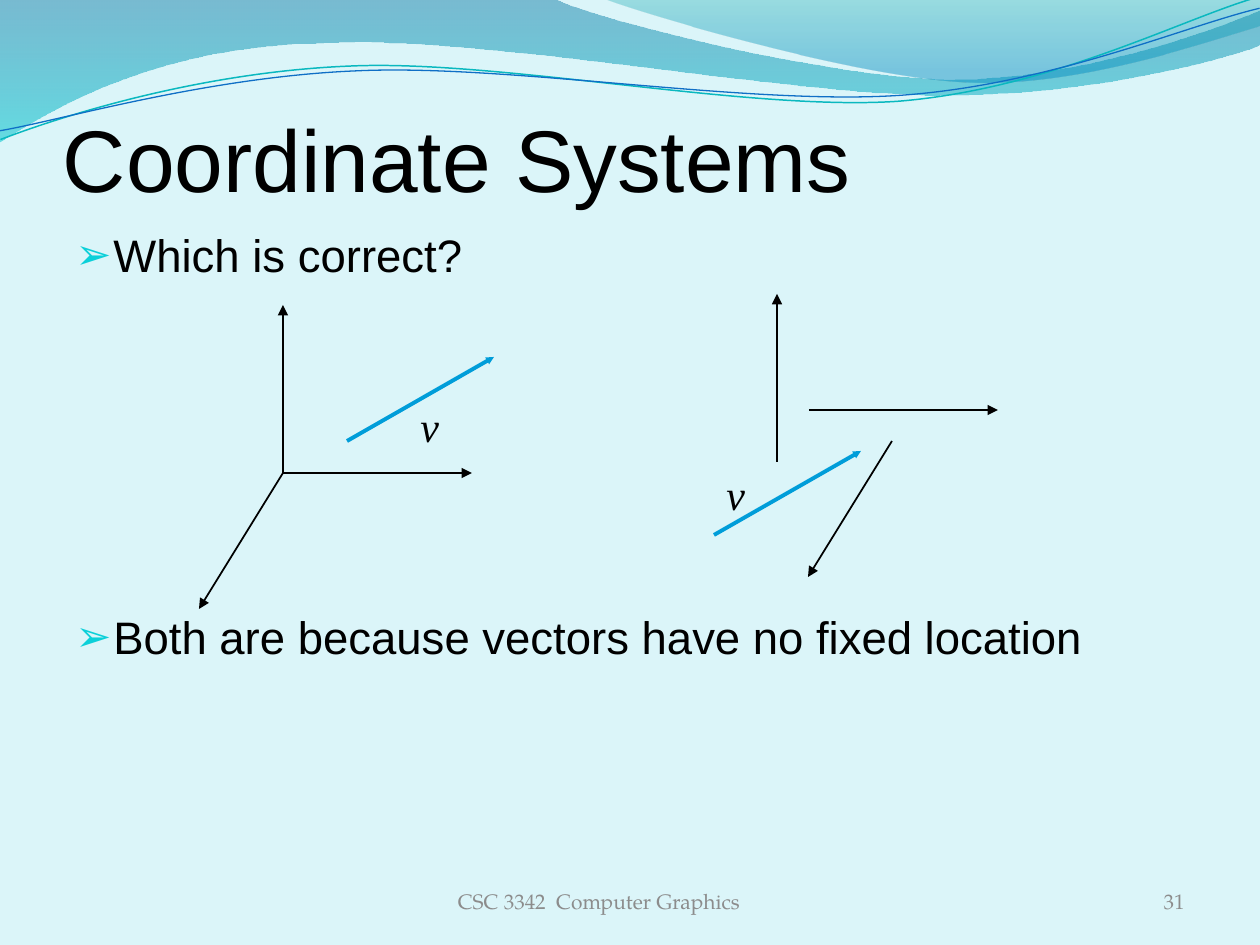
from lxml.etree import SubElement
from pptx import Presentation
from pptx.dml.color import RGBColor
from pptx.enum.shapes import MSO_CONNECTOR
from pptx.enum.text import MSO_ANCHOR, PP_ALIGN
from pptx.oxml.ns import qn
from pptx.util import Pt

EMU_PER_PX = 914400 / 126
WIDTH, HEIGHT = 1260, 945
WAVE_TILT = -2.7
COLORS = {
    "background": "DBF5F9", "text": "000000", "footer": "8C8C8C",
    "bullet": "0BD0D9", "axis": "000000", "vector": "009DD9",
    "teal_line": "0AB8BF", "blue_line": "0F6FC6",
    "band_top": "0074A1", "band_bottom": "00C6CF",
    "crest_top": "00A1A9", "crest_bottom": "008BBF",
}


def px(value):
    return round(value * EMU_PER_PX)


def color(name):
    return RGBColor.from_string(COLORS[name])


def add_wave(slide, start, segments, closed):
    """Each segment holds a line's end point, or a Bezier curve's two handles and end."""
    points = [(px(x), px(y)) for segment in segments
              for x, y in zip(segment[::2], segment[1::2])]
    builder = slide.shapes.build_freeform(px(start[0]), px(start[1]), scale=1.0)
    builder.add_line_segments(points, close=closed)
    shape = builder.convert_to_shape()
    shape.shadow.inherit = False
    # Turn each group of three steps into one curve
    steps = iter(list(shape._element.iter(qn("a:lnTo"))))
    for segment in segments:
        step = next(steps)
        if len(segment) == 6:
            step.tag = qn("a:cubicBezTo")
            for _ in range(2):
                following = next(steps)
                step.append(following[0])
                following.getparent().remove(following)
    return shape


def add_filled_wave(slide, start, segments, stops):
    shape = add_wave(slide, start, segments, True)
    shape.line.fill.background()
    shape.fill.gradient()
    shape.fill.gradient_angle = 270
    for gradient_stop, (position, name, _) in zip(shape.fill.gradient_stops, stops):
        gradient_stop.position = position
        gradient_stop.color.rgb = color(name)
    color_elements = list(shape._element.spPr.iter(qn("a:srgbClr")))
    for element, (_, _, opacity) in zip(color_elements, stops):
        SubElement(element, qn("a:alpha"), val=str(opacity * 1000))


def add_line_wave(slide, start, segments, name, width):
    shape = add_wave(slide, start, segments, False)
    shape.rotation = WAVE_TILT
    shape.fill.background()
    shape.line.color.rgb = color(name)
    shape.line.width = Pt(width)


def add_arrow(slide, start, end, name="axis", width=1, head="med"):
    connector = slide.shapes.add_connector(
        MSO_CONNECTOR.STRAIGHT, *map(px, start + end))
    connector.line.color.rgb = color(name)
    connector.line.width = Pt(width)
    SubElement(connector.line._get_or_add_ln(), qn("a:tailEnd"),
               type="triangle", w=head, len=head)
    SubElement(connector._element.spPr, qn("a:effectLst"))


def add_text(slide, box, lines, size, font, name="text", anchor=MSO_ANCHOR.TOP,
             align=PP_ALIGN.LEFT, wrap=True, italic=False):
    shape = slide.shapes.add_textbox(*map(px, box))
    frame = shape.text_frame
    frame.word_wrap = wrap
    frame.vertical_anchor = anchor
    frame.text = "\n".join(lines)
    for paragraph in frame.paragraphs:
        paragraph.alignment = align
        for run in paragraph.runs:
            run.font.size = Pt(size)
            run.font.name = font
            run.font.italic = italic
            run.font.color.rgb = color(name)
    return frame


def add_bullet(paragraph):
    properties = paragraph._p.get_or_add_pPr()
    properties.set("marL", str(px(38)))
    properties.set("indent", str(-px(38)))
    bullet_color = SubElement(properties, qn("a:buClr"))
    SubElement(bullet_color, qn("a:srgbClr"), val=COLORS["bullet"])
    SubElement(properties, qn("a:buSzPct"), val="95000")
    SubElement(properties, qn("a:buFont"), typeface="Arial")
    SubElement(properties, qn("a:buChar"), char="➢")


def add_vector(slide, start, label_position):
    x, y = start
    add_arrow(slide, start, (x + 147, y - 84), "vector", 2.25, "sm")
    add_text(slide, label_position + (44, 63), ["v"], 24, "Times New Roman",
             wrap=False, italic=True)


def add_axes(slide, right_start, up_start, toward_start):
    for (x, y), (dx, dy) in zip((right_start, up_start, toward_start),
                                ((189, 0), (0, -168), (-84, 136))):
        add_arrow(slide, (x, y), (x + dx, y + dy))


def add_waves(slide):
    add_filled_wave(slide, (0, 0), [
        (554, -1), (600, 21, 837, 79, 955, 79), (1075, 79, 1207, 33, 1260, 11),
        (1261, 45), (1239, 55, 1096, 96, 940, 95), (784, 95, 481, 35, 324, 43),
        (163, 45, 58, 105, -1, 142),
    ], [(0, "band_top", 45), (1, "band_bottom", 55)])
    add_filled_wave(slide, (604, -1), [
        (641, 14, 859, 78, 969, 82), (1079, 87, 1211, 40, 1260, 26), (1260, 0),
    ], [(0, "crest_top", 30), (0.8, "crest_bottom", 45)])
    add_line_wave(slide, (-2, 110), [
        (58, 90, 199, 52, 350, 53), (499, 53, 745, 117, 896, 114),
        (1049, 109, 1184, 45, 1260, 27),
    ], "teal_line", 0.85)
    add_line_wave(slide, (-2, 101), [
        (57, 94, 207, 57, 357, 58), (509, 58, 750, 112, 902, 108),
        (1052, 104, 1187, 52, 1262, 38),
    ], "blue_line", 0.75)


def main():
    presentation = Presentation()
    presentation.slide_width, presentation.slide_height = px(WIDTH), px(HEIGHT)
    slide = presentation.slides.add_slide(presentation.slide_layouts[6])
    slide.background.fill.solid()
    slide.background.fill.fore_color.rgb = color("background")
    add_waves(slide)

    # Title and bullets
    title = add_text(slide, (63, 53, 1134, 157), ["Coordinate Systems"], 50, "Arial",
                     anchor=MSO_ANCHOR.BOTTOM)
    title.margin_left = title.margin_right = title.margin_bottom = 0
    body = add_text(slide, (63, 221, 1134, 626), [
        "Which is correct?", "Both are because vectors have no fixed location",
    ], 26, "Arial")
    body.paragraphs[1].space_before = Pt(187)
    for paragraph in body.paragraphs:
        add_bullet(paragraph)

    # Axes sharing one origin
    origin = (283, 473)
    add_axes(slide, origin, origin, origin)
    add_vector(slide, (347, 441), (408, 394))

    # Axes drawn apart
    add_axes(slide, (809, 410), (777, 462), (892, 441))
    add_vector(slide, (714, 535), (714, 462))

    # Footer
    for left, width, text, align in (
            (368, 462, "CSC 3342  Computer Graphics", PP_ALIGN.CENTER),
            (903, 294, "31", PP_ALIGN.RIGHT)):
        add_text(slide, (left, 876, width, 50), [text], 12, "TeX Gyre Pagella",
                 "footer", MSO_ANCHOR.MIDDLE, align)
    presentation.save("out.pptx")


if __name__ == "__main__":
    main()
